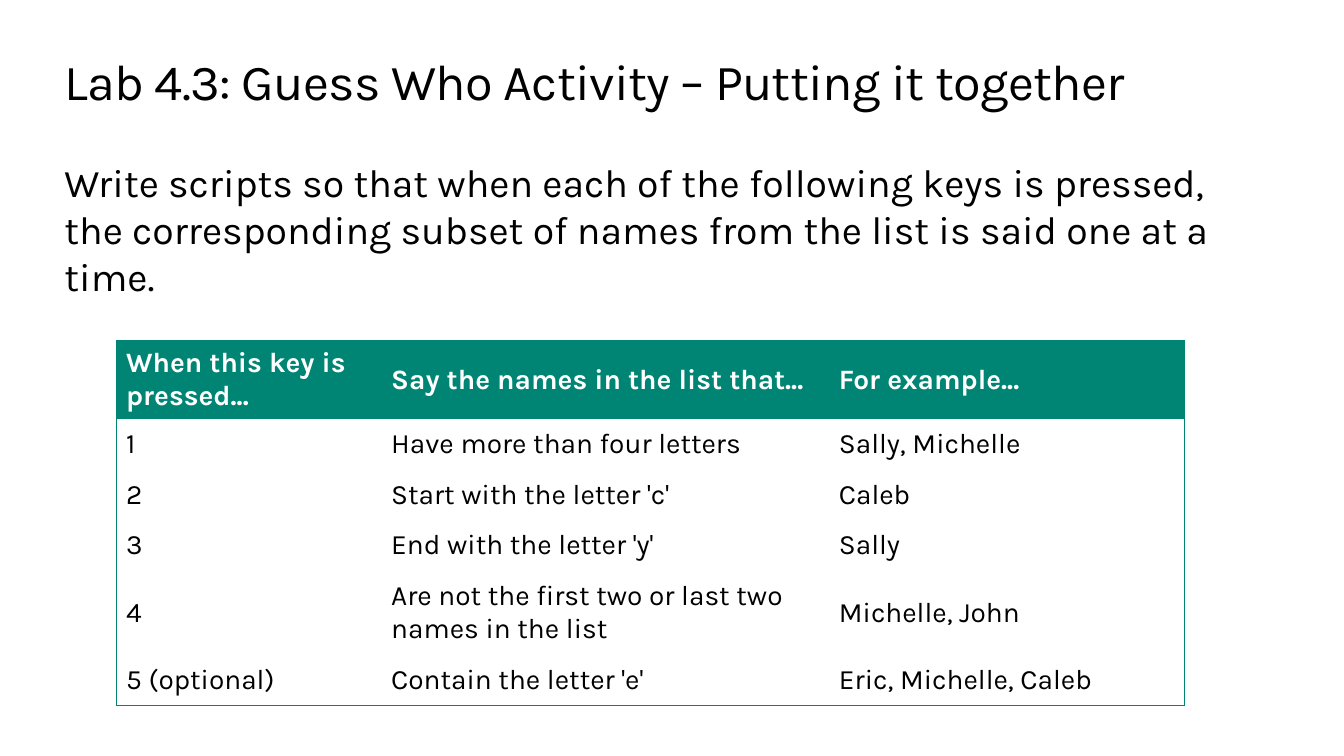
from lxml.etree import SubElement
from pptx import Presentation
from pptx.dml.color import RGBColor
from pptx.enum.text import MSO_ANCHOR as Anchor, PP_ALIGN as Align
from pptx.oxml import parse_xml
from pptx.oxml.ns import nsdecls, qn
from pptx.util import Inches, Pt

BLACK = RGBColor(0x00, 0x00, 0x00)
WHITE = RGBColor(0xFF, 0xFF, 0xFF)
TEAL = RGBColor(0x00, 0x85, 0x75)

TITLE = "Lab 4.3: Guess Who Activity – Putting it together"
TASK = ("Write scripts so that when each of the following keys is pressed, "
        "the corresponding subset of names from the list is said one at a time.")
KEY_RULES = [
    ("When this key is pressed...", "Say the names in the list that...", "For example..."),
    ("1", "Have more than four letters", "Sally, Michelle"),
    ("2", "Start with the letter 'c'", "Caleb"),
    ("3", "End with the letter 'y'", "Sally"),
    ("4", "Are not the first two or last two names in the list", "Michelle, John"),
    ("5 (optional)", "Contain the letter 'e'", "Eric, Michelle, Caleb"),
]
COLUMN_SHARES = (19.73, 33.31, 26.48)
LINE_ROW = 6.67
ROW_SHARES = (10.4, LINE_ROW, LINE_ROW, LINE_ROW, 11.2, LINE_ROW)


def write_text(frame, text, size=20, color=BLACK, bold=False, font="Karla", spacing=None):
    """Fill the frame with one left-aligned run; spacing is in 1/100 point."""
    frame.word_wrap = True
    paragraph = frame.paragraphs[0]
    paragraph.alignment = Align.LEFT
    run = paragraph.add_run()
    run.text = text
    run.font.name, run.font.size, run.font.bold = font, Pt(size), bold
    run.font.color.rgb = color
    if spacing is not None:
        run.font._element.set("spc", str(spacing))


def set_borders(cell, drawn_sides, color=TEAL, width=0.75):
    """Draw the given sides out of L, R, T, B and hide the others."""
    properties = cell._tc.get_or_add_tcPr()
    for position, side in enumerate("LRTB"):
        line = parse_xml(f'<a:ln{side} {nsdecls("a")} w="{Pt(width)}"/>')
        if side in drawn_sides:
            fill = SubElement(line, qn("a:solidFill"))
            SubElement(fill, qn("a:srgbClr"), val=str(color))
        else:
            SubElement(line, qn("a:noFill"))
        properties.insert(position, line)


class LabSlide:
    """A title-only slide whose lengths are percentages of its size."""

    def __init__(self, deck):
        self.width, self.height = deck.slide_width, deck.slide_height
        self.slide = deck.slides.add_slide(deck.slide_layouts[5])

    def across(self, share):
        return round(self.width * share / 100)

    def down(self, share):
        return round(self.height * share / 100)

    def box(self, left, top, width, height):
        return self.across(left), self.down(top), self.across(width), self.down(height)

    def clear_insets(self, frame):
        frame.margin_left = frame.margin_right = frame.margin_top = frame.margin_bottom = 0
        frame.vertical_anchor = Anchor.TOP

    def title(self, text, *area):
        heading = self.slide.shapes.title
        heading.left, heading.top, heading.width, heading.height = self.box(*area)
        self.clear_insets(heading.text_frame)
        write_text(heading.text_frame, text, size=36, spacing=-50)

    def body(self, text, *area):
        frame = self.slide.shapes.add_textbox(*self.box(*area)).text_frame
        self.clear_insets(frame)
        write_text(frame, text, size=28)

    def table(self, rows, left, top, column_shares, row_shares):
        area = self.box(left, top, sum(column_shares), sum(row_shares))
        table = self.slide.shapes.add_table(len(rows), len(column_shares), *area).table
        table.horz_banding = False
        for column, share in zip(table.columns, column_shares):
            column.width = self.across(share)
        for row, share in zip(table.rows, row_shares):
            row.height = self.down(share)
        last_row, last_column = len(rows) - 1, len(column_shares) - 1
        for r, texts in enumerate(rows):
            for c, text in enumerate(texts):
                sides = ("L" * (c == 0) + "R" * (c == last_column)
                         + "T" * (r == 0) + "B" * (r == last_row))
                self.cell(table.cell(r, c), text, sides, is_header=r == 0)

    def cell(self, cell, text, sides, is_header):
        cell.vertical_anchor = Anchor.MIDDLE
        cell.margin_left = cell.margin_right = Inches(0.1)
        cell.margin_top = cell.margin_bottom = Inches(0.05 if is_header else 0.03)
        cell.fill.solid()
        cell.fill.fore_color.rgb = TEAL if is_header else WHITE
        set_borders(cell, sides)
        write_text(cell.text_frame, text, color=WHITE if is_header else BLACK, bold=is_header)


def main():
    deck = Presentation()
    deck.slide_width, deck.slide_height = Inches(13.33), Inches(7.5)
    lab = LabSlide(deck)
    lab.title(TITLE, 4.8, 6.67, 90.4, 8.13)
    lab.body(TASK, 4.8, 20.93, 85.22, 37.2)
    lab.table(KEY_RULES, 8.63, 45.07, COLUMN_SHARES, ROW_SHARES)
    deck.save("out.pptx")


if __name__ == "__main__":
    main()
